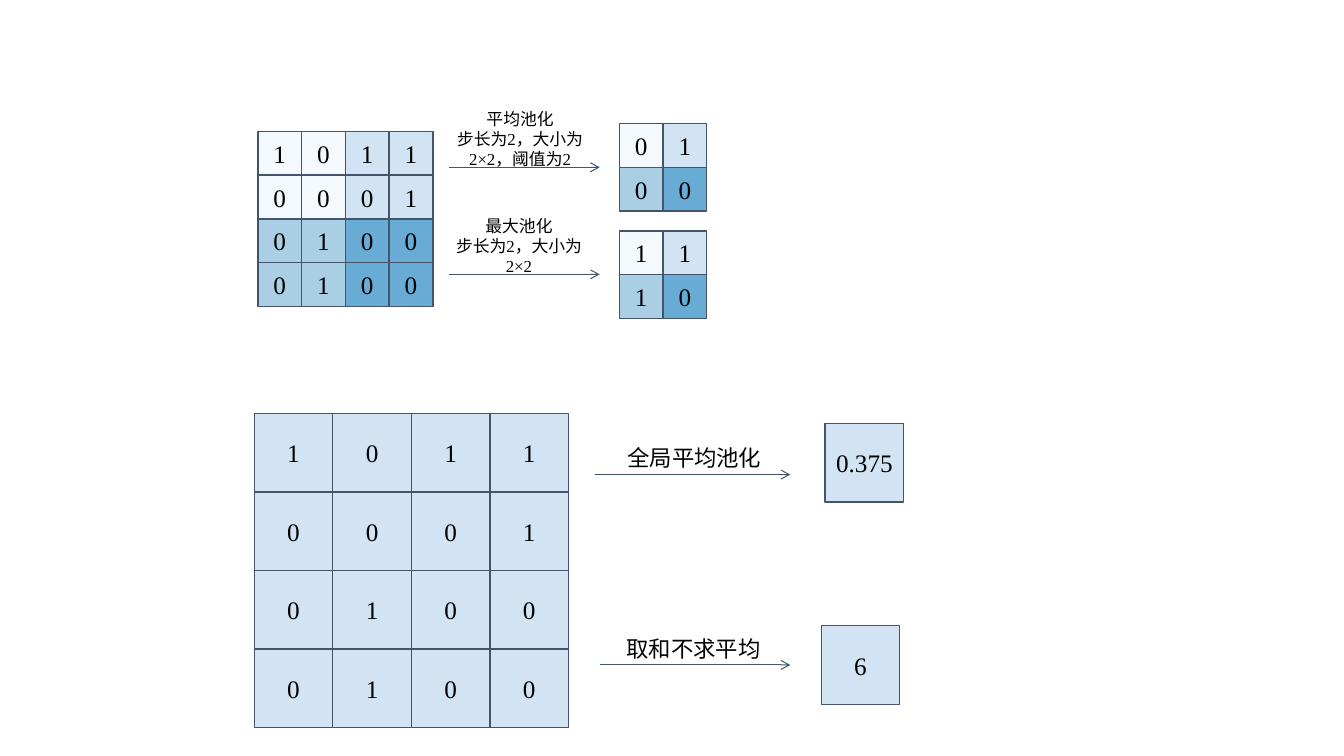
"""Build a slide comparing average, max and global pooling on a 4×4 grid."""
from lxml import etree
from pptx import Presentation
from pptx.dml.color import RGBColor
from pptx.enum import shapes, text
from pptx.oxml import ns
from pptx.util import Pt

COLORS = {
    "line": "44546A",
    "text": "000000",
    "top_left": "F4F9FE",
    "top_right": "D2E3F3",
    "bottom_left": "AACFE5",
    "bottom_right": "68ACD5",
}
QUADRANTS = ["top_left", "top_right", "bottom_left", "bottom_right"]
PLAIN = ["top_right"] * 4
FONT = "Times New Roman"
SMALL, LARGE = 31.25, 56.1
INPUT = ["1011", "0001", "0100", "0100"]


def rgb(name):
    return RGBColor.from_string(COLORS[name])


def style(p, size):
    p.alignment = text.PP_ALIGN.CENTER
    p.font.name = FONT
    p.font.size = Pt(size)
    p.font.color.rgb = rgb("text")


def add_cell(parent, left, top, side, value, fill):
    sp = parent.add_shape(shapes.MSO_SHAPE.RECTANGLE, Pt(left), Pt(top), Pt(side), Pt(side))
    sp.shadow.inherit = False
    sp.fill.solid()
    sp.fill.fore_color.rgb = rgb(fill)
    sp.line.color.rgb = rgb("line")
    sp.line.width = Pt(1)
    tf = sp.text_frame
    tf.margin_left = tf.margin_right = tf.margin_top = tf.margin_bottom = 0
    tf.vertical_anchor = text.MSO_ANCHOR.MIDDLE
    tf.text = value
    style(tf.paragraphs[0], 18)


def add_grid(parent, left, top, side, rows, fills):
    half = len(rows) // 2
    for i, row in enumerate(rows):
        for j, value in enumerate(row):
            fill = fills[i // half * 2 + j // half]
            add_cell(parent, left + j * side, top + i * side, side, value, fill)


def add_label(parent, left, top, width, height, lines, size):
    tb = parent.add_textbox(Pt(left), Pt(top), Pt(width), Pt(height))
    tf = tb.text_frame
    tf.word_wrap = True
    tf.auto_size = text.MSO_AUTO_SIZE.SHAPE_TO_FIT_TEXT
    tf.text = "\n".join(lines)
    for p in tf.paragraphs:
        style(p, size)


def add_arrow(parent, kind, left, right, y):
    cx = parent.add_connector(kind, Pt(left), Pt(y), Pt(right), Pt(y))
    cx.line.color.rgb = rgb("line")
    cx.line.width = Pt(0.75)
    etree.SubElement(cx.line._get_or_add_ln(), ns.qn("a:tailEnd"), type="arrow")
    etree.SubElement(cx._element.spPr, ns.qn("a:effectLst"))


def main():
    prs = Presentation()
    prs.slide_width, prs.slide_height = Pt(960), Pt(540)
    s = prs.slides.add_slide(prs.slide_layouts[6])

    local = s.shapes
    curve = shapes.MSO_CONNECTOR.CURVE
    add_grid(local, 184.25, 93.9, SMALL, INPUT, QUADRANTS)
    add_arrow(local, curve, 320.4, 428.4, 119.5)
    add_arrow(local, curve, 320.4, 428.4, 196)
    add_label(local, 314.6, 74.2, 113.8, 51, ["平均池化", "步长为2，大小为2×2，阈值为2"], 12)
    add_label(local, 314.6, 150.5, 112.3, 51, ["最大池化", "步长为2，大小为2×2"], 12)
    add_grid(local, 442.4, 88.3, SMALL, ["01", "00"], QUADRANTS)
    add_grid(local, 442.4, 165, SMALL, ["11", "10"], QUADRANTS)

    overall = s.shapes.add_group_shape().shapes
    straight = shapes.MSO_CONNECTOR.STRAIGHT
    add_grid(overall, 181.6, 295.2, LARGE, INPUT, PLAIN)
    add_label(overall, 393.8, 313.9, 204.5, 26.6, ["全局平均池化"], 16)
    add_label(overall, 394.6, 450, 201.6, 26.6, ["取和不求平均"], 16)
    add_cell(overall, 589.4, 302.5, LARGE, "0.375", PLAIN[0])
    add_cell(overall, 586.6, 447, LARGE, "6", PLAIN[0])
    add_arrow(overall, straight, 424.8, 564.5, 339)
    add_arrow(overall, straight, 428.4, 564.5, 475)

    prs.save("out.pptx")


if __name__ == "__main__":
    main()
